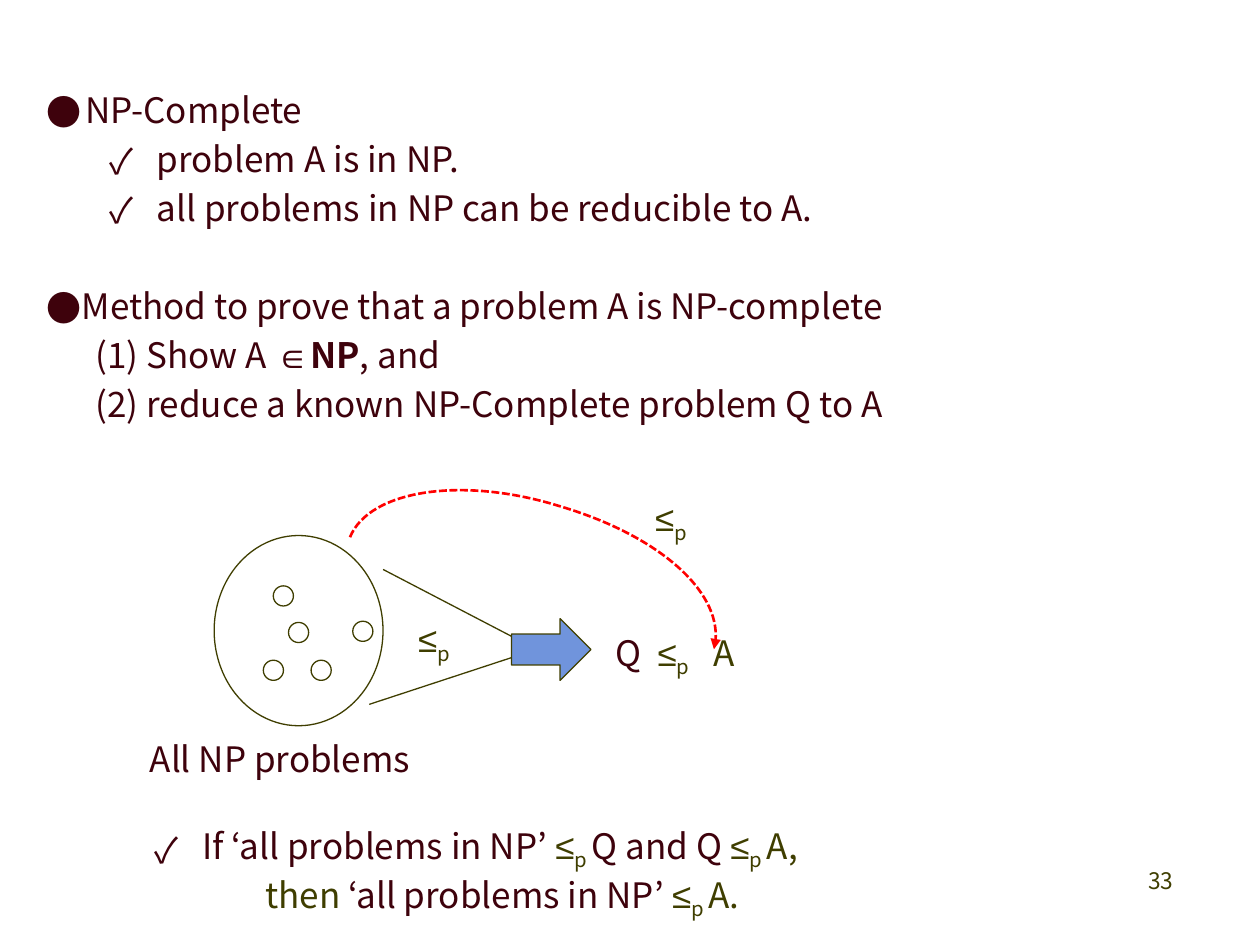
from lxml import etree
from pptx import Presentation
from pptx.dml.color import RGBColor
from pptx.enum import dml, shapes, text
from pptx.oxml import ns
from pptx.util import Pt

WINE = RGBColor(0x3E, 0x02, 0x0C)
OLIVE = RGBColor(0x3F, 0x3E, 0x00)
BLUE = RGBColor(0x70, 0x94, 0xDC)
RED = RGBColor(0xFF, 0x00, 0x00)
NOTO, ARIAL = "Noto Sans CJK KR", "Arial"
q = ns.qn

deck = Presentation()
deck.slide_width, deck.slide_height = Pt(720), Pt(540)
slide = deck.slides.add_slide(deck.slide_layouts[6])
items = slide.shapes


def write(par, words, size=20, color=WINE, font=NOTO, bold=False, sub=False, extra=0):
    """Add a run; extra is the letter spacing in points."""
    run = par.add_run()
    run.text = words
    run.font.size, run.font.bold, run.font.name = Pt(size), bold, font
    run.font.color.rgb = color
    props = run.font._element
    etree.SubElement(props, q("a:ea"), typeface=font)
    if sub:
        props.set("baseline", "-25000")
    if extra:
        props.set("spc", str(round(extra * 100)))


def add_box(x, y, w, h, lines):
    """Add a text box; each line is a list of runs and a dict of its layout."""
    frame = items.add_textbox(Pt(x), Pt(y), Pt(w), Pt(h)).text_frame
    frame.word_wrap = True
    for i, (runs, form) in enumerate(lines):
        par = frame.add_paragraph() if i else frame.paragraphs[0]
        par.line_spacing = form.get("space", Pt(28))
        par.space_before = Pt(form.get("before", 0))
        par.alignment = form.get("align", text.PP_ALIGN.LEFT)
        props = par._p.get_or_add_pPr()
        props.set("marL", str(Pt(form.get("left", 0))))
        props.set("indent", str(-Pt(form.get("hang", 0))))
        if "mark" in form:
            tint = etree.SubElement(props, q("a:buClr"))
            etree.SubElement(tint, q("a:srgbClr"), val=str(WINE))
            etree.SubElement(props, q("a:buFont"), typeface=NOTO)
            etree.SubElement(props, q("a:buChar"), char=form["mark"])
        for words, style in runs:
            write(par, words, **style)


olive = dict(color=OLIVE)
leq = [("≤", dict(color=OLIVE, font=ARIAL)), ("p", dict(color=OLIVE, sub=True))]
check = dict(left=63, hang=27, mark="✓")
step = dict(left=28)

# Definition and method
add_box(19.5, 43.2, 538, 259, [
    ([("NP-Complete", {})], dict(left=22, hang=22, mark="●")),
    ([("problem A is in NP.", {})], check),
    ([("all problems in NP can be reducible to A.", {})], check),
    ([("Method to prove that a problem A is NP-complete", {})],
     dict(left=17.5, hang=17.5, mark="●", before=28)),
    ([("(1) Show A ", {}), ("∈", dict(font=ARIAL)),
      ("NP", dict(bold=True)), (", and", {})], step),
    ([("(2) reduce a known NP-Complete problem Q to A", {})], step),
])

# Set of NP problems, with single problems inside
ovals = [(122.4, 306, 96.5, 108.7)]
ovals += [(x, y, 11.5, 11.5) for x, y in
          [(156.2, 334.8), (164.9, 355.7), (177.8, 377.3), (150.5, 377.3), (201.6, 355)]]
for oval in ovals:
    ring = items.add_shape(shapes.MSO_SHAPE.OVAL, *map(Pt, oval))
    ring.shadow.inherit = False
    ring.fill.background()
    ring.line.color.rgb, ring.line.width = OLIVE, Pt(0.75)
add_box(78.5, 414, 174, 35.3, [([("All NP problems", {})], {})])

# Funnel into the known problem Q
for ends in [(218.9, 325.4, 292.3, 363.6), (211, 402.5, 292.3, 375.8)]:
    edge = items.add_connector(shapes.MSO_CONNECTOR.STRAIGHT, *map(Pt, ends))
    edge.line.color.rgb, edge.line.width = OLIVE, Pt(0.75)
    etree.SubElement(edge._element.spPr, q("a:effectLst"))
arrow = items.add_shape(shapes.MSO_SHAPE.RIGHT_ARROW, Pt(292.3), Pt(353.5), Pt(45.4), Pt(35.3))
arrow.shadow.inherit = False
arrow.fill.solid()
arrow.fill.fore_color.rgb = BLUE
arrow.line.color.rgb, arrow.line.width = OLIVE, Pt(0.75)
add_box(344.9, 356.4, 110, 35.3, [
    ([("Q", {}), (" ", dict(extra=4.5)), *leq, (" ", dict(extra=9)), ("A", olive)], {})])
for x, y in [(231.8, 348.5), (367.2, 279.4)]:
    add_box(x, y, 37.5, 35.3, [(leq, {})])

# Dashed curve from the set to A: two Bezier pieces
curve = [(200.2, 306.7), (211, 280.1), (263.5, 272.2), (319, 288.7),
         (376.6, 306), (416.2, 342), (408.2, 370.8)]
pen = items.build_freeform(*curve[0], scale=Pt(1))
pen.add_line_segments(curve[1:], close=False)
bow = pen.convert_to_shape()
bow.shadow.inherit = False
bow.fill.background()
bow.line.color.rgb, bow.line.width = RED, Pt(1.5)
bow.line.dash_style = dml.MSO_LINE.SQUARE_DOT
etree.SubElement(bow.line._get_or_add_ln(), q("a:tailEnd"), type="triangle")
legs = list(bow._element.iter(q("a:lnTo")))
track = legs[0].getparent()
for i in range(0, len(legs), 3):
    bend = etree.SubElement(track, q("a:cubicBezTo"))
    for leg in legs[i:i + 3]:
        bend.append(leg[0])
        track.remove(leg)

# Conclusion
known = ("‘all problems in NP’ ", {})
gap = (" ", dict(color=OLIVE, sub=True))
add_box(81.4, 466.6, 522, 63.4, [
    ([("If ", {}), known, *leq, gap, ("Q and Q ", {}), *leq, gap, ("A,", olive)],
     dict(left=27, hang=27, mark="✓")),
    ([("then ", olive), known, *leq, gap, ("A.", olive)], dict(left=63)),
])

# Slide number
add_box(527.8, 491.8, 149.8, 36, [
    ([("33", dict(size=13, color=OLIVE))], dict(align=text.PP_ALIGN.RIGHT, space=1.0))])

deck.save("out.pptx")
